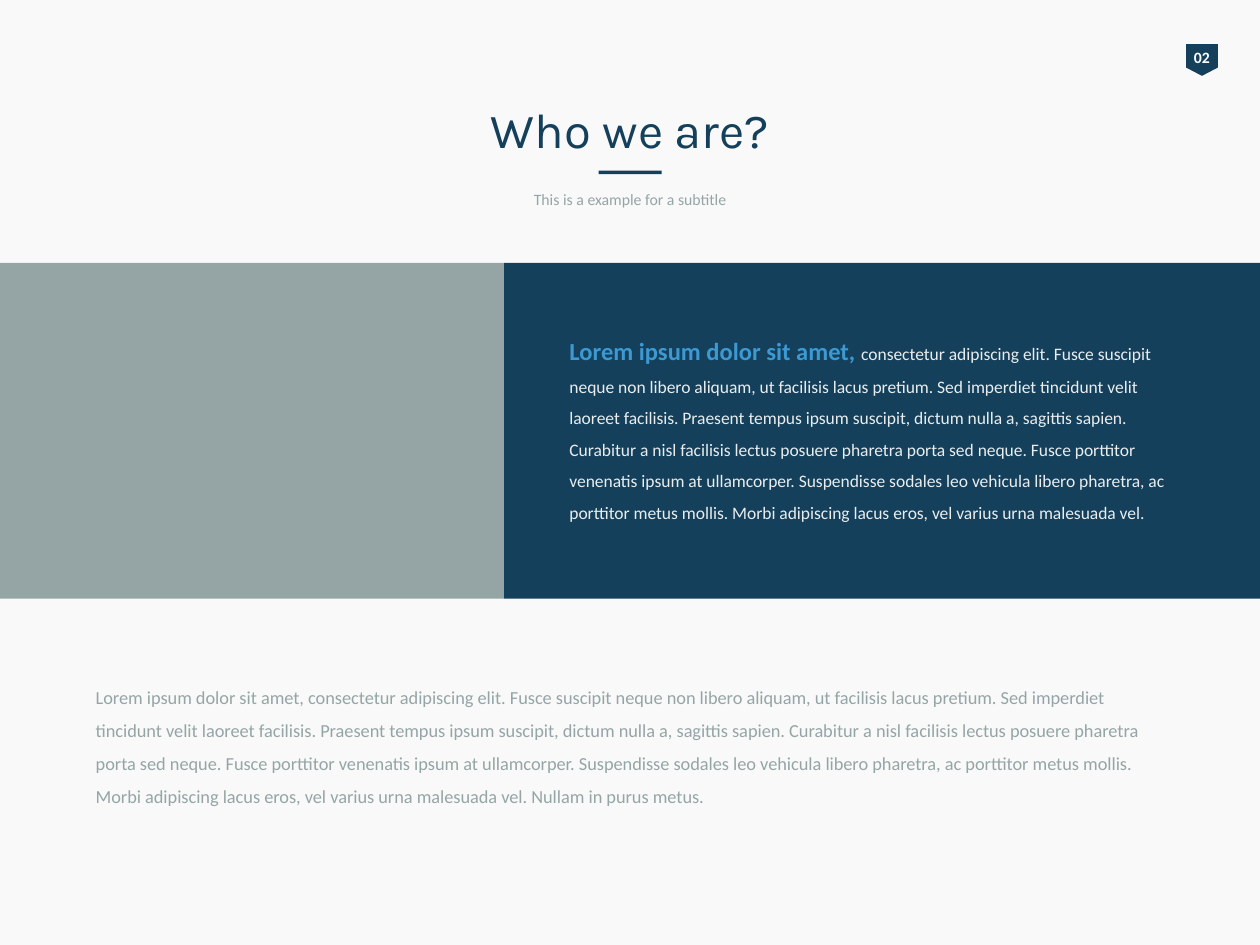
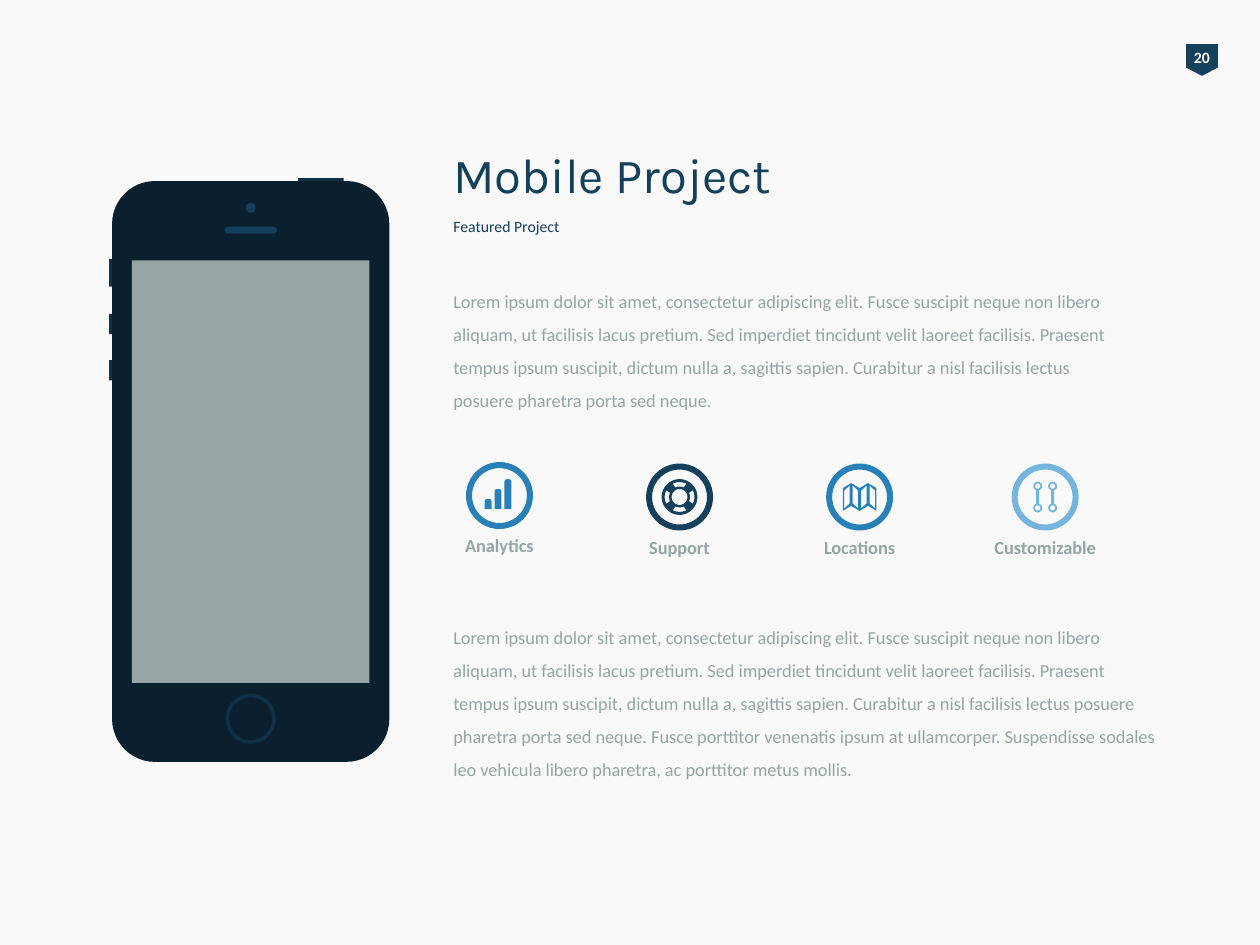
from dataclasses import dataclass
from math import cos, radians, sin

from pptx import Presentation
from pptx.dml.color import RGBColor
from pptx.enum.shapes import MSO_SHAPE as Shape
from pptx.enum.text import MSO_ANCHOR as Anchor, PP_ALIGN as Align
from pptx.util import Cm, Pt


@dataclass(frozen=True)
class Theme:
    paper: str = "F9F9F9"
    navy: str = "14405C"
    night: str = "0A202E"
    trim: str = "0F3045"
    blue: str = "2980B9"
    sky: str = "74B5DE"
    accent: str = "3D99D2"
    grey: str = "95A5A6"
    pale: str = "EAEDED"
    white: str = "FFFFFF"
    heading_font: str = "Karla"
    body_font: str = "Calibri"
    title_size: float = 28
    lead_size: float = 14
    body_size: float = 10.5
    panel_size: float = 10
    small_size: float = 9


THEME = Theme()

OPENING = "Lorem ipsum dolor sit amet, "
INTRO = (
    "consectetur adipiscing elit. Fusce suscipit neque non libero aliquam, "
    "ut facilisis lacus pretium. Sed imperdiet tincidunt velit laoreet facilisis. "
    "Praesent tempus ipsum suscipit, dictum nulla a, sagittis sapien. "
    "Curabitur a nisl facilisis lectus posuere pharetra porta sed neque."
)
MIDDLE = (
    " Fusce porttitor venenatis ipsum at ullamcorper. "
    "Suspendisse sodales leo vehicula libero pharetra, ac porttitor metus mollis."
)
CLOSING = " Morbi adipiscing lacus eros, vel varius urna malesuada vel."


def paint(shape, color):
    shape.shadow.inherit = False
    shape.fill.solid()
    shape.fill.fore_color.rgb = RGBColor.from_string(color)
    shape.line.fill.background()


def add_block(slide, box, color, kind=Shape.RECTANGLE, adjust=None):
    """Add a plain filled preset shape; box is left, top, width, height in cm."""
    block = slide.shapes.add_shape(kind, *map(Cm, box))
    paint(block, color)
    if adjust is not None:
        block.adjustments[0] = adjust
    return block


def add_round(slide, center, diameter, color, kind=Shape.OVAL, adjust=None):
    x, y = center
    box = (x - diameter / 2, y - diameter / 2, diameter, diameter)
    add_block(slide, box, color, kind, adjust)


def add_outline(slide, center, contours, color):
    """Draw closed contours around center; inner contours become holes."""
    x, y = center
    placed = [[(Cm(x + dx), Cm(y + dy)) for dx, dy in points] for points in contours]
    builder = slide.shapes.build_freeform(*placed[0][0], scale=1.0)
    for index, (start, *rest) in enumerate(placed):
        if index:
            builder.move_to(*start)
        builder.add_line_segments(rest, close=True)
    paint(builder.convert_to_shape(), color)


def add_text(slide, box, runs, font=THEME.body_font, align=Align.LEFT,
             anchor=Anchor.TOP, spacing=1.0, wrap=True):
    """Add one paragraph; each run is text, size, colour, bold."""
    frame = slide.shapes.add_textbox(*map(Cm, box)).text_frame
    frame.word_wrap = wrap
    frame.vertical_anchor = anchor
    paragraph = frame.paragraphs[0]
    paragraph.alignment = align
    paragraph.line_spacing = spacing
    for text, size, color, bold in runs:
        run = paragraph.add_run()
        run.text = text
        run.font.name = font
        run.font.size = Pt(size)
        run.font.bold = bold
        run.font.color.rgb = RGBColor.from_string(color)


def add_body(slide, box, text):
    add_text(slide, box, [(text, THEME.body_size, THEME.grey, False)], spacing=1.5)


def add_heading(slide, box, title, subtitle, subtitle_top, subtitle_color, align):
    left, top, width, height = box
    add_text(slide, box, [(title, THEME.title_size, THEME.navy, False)],
             THEME.heading_font, align, Anchor.MIDDLE)
    add_text(slide, (left, top + subtitle_top, width, 0.48),
             [(subtitle, THEME.small_size, subtitle_color, False)], align=align)


def add_page_badge(slide, number):
    left, top, side = 23.91, 0.89, 0.64
    flag = add_block(slide, (left, top, side, side), THEME.navy, Shape.PENTAGON, 0.26)
    flag.rotation = 90
    add_text(slide, (left - 0.1, top - 0.05, side + 0.2, 0.48),
             [(number, THEME.small_size, THEME.white, True)],
             align=Align.CENTER, wrap=False)


def new_slide(deck, number):
    slide = deck.slides.add_slide(deck.slide_layouts[6])
    slide.background.fill.solid()
    slide.background.fill.fore_color.rgb = RGBColor.from_string(THEME.paper)
    add_page_badge(slide, number)
    return slide


def add_intro_band(slide, box):
    left, top, width, height = box
    photo_width = 10.16
    add_block(slide, (left + photo_width, top, width - photo_width, height), THEME.navy)
    add_block(slide, (left, top, photo_width, height), THEME.grey)
    add_text(slide, (left + 11.23, top + 1.05, 12.5, 4.6),
             [(OPENING, THEME.lead_size, THEME.accent, True),
              (INTRO + MIDDLE + CLOSING, THEME.panel_size, THEME.pale, False)],
             spacing=1.5)


def add_phone(slide, box):
    left, top, width, height = box
    middle = left + width / 2
    trim_parts = [(3.75, -0.06, 0.92, 0.07), (-0.06, 1.57, 0.07, 0.56),
                  (-0.06, 2.68, 0.07, 0.41), (-0.06, 3.61, 0.07, 0.41)]
    for dx, dy, part_width, part_height in trim_parts:
        add_block(slide, (left + dx, top + dy, part_width, part_height), THEME.trim)
    add_block(slide, box, THEME.night, Shape.ROUNDED_RECTANGLE, 0.155)
    add_block(slide, (left + 0.4, top + 1.6, width - 0.8, 8.52), THEME.grey)
    add_round(slide, (middle, top + 0.54), 0.2, THEME.navy)
    add_block(slide, (middle - 0.53, top + 0.92, 1.06, 0.14), THEME.navy,
              Shape.ROUNDED_RECTANGLE, 0.5)
    add_round(slide, (middle, top + 10.84), 1.01, THEME.trim, Shape.DONUT, 0.07)


def draw_bars(slide, center, color):
    x, y = center
    for step in range(3):
        height = 0.2 * (step + 1)
        add_block(slide, (x - 0.3 + 0.2 * step, y + 0.27 - height, 0.14, height),
                  color, Shape.ROUND_2_SAME_RECTANGLE, 0.35)


def arc(radius, start, end, steps=24):
    angles = [radians(start + (end - start) * i / steps) for i in range(steps + 1)]
    return [(radius * cos(a), radius * sin(a)) for a in angles]


def draw_lifebuoy(slide, center, color):
    windows = [arc(0.3, turn - 27, turn + 27) + arc(0.21, turn + 24, turn - 24)
               for turn in range(0, 360, 90)]
    rims = [arc(radius, 0, 360, 72) for radius in (0.36, 0.16)]
    add_outline(slide, center, rims + windows, color)


def draw_map(slide, center, color):
    folds = [(-0.34 + 0.17 * i, 0.1 * (1 - i % 2)) for i in range(5)]
    outline = ([(x, shift - 0.28) for x, shift in folds]
               + [(x, shift + 0.18) for x, shift in reversed(folds)])
    panels = []
    for (x1, shift1), (x2, shift2) in zip(folds, folds[1:]):
        x1, x2 = x1 + 0.03, x2 - 0.03
        panels.append([(x1, shift1 - 0.23), (x2, shift2 - 0.23),
                       (x2, shift2 + 0.13), (x1, shift1 + 0.13)])
    add_outline(slide, center, [outline] + panels, color)


def draw_sliders(slide, center, color):
    x, y = center
    for dx in (-0.15, 0.15):
        add_block(slide, (x + dx - 0.03, y - 0.14, 0.06, 0.28), color)
        for dy in (-0.22, 0.22):
            add_round(slide, (x + dx, y + dy), 0.18, color, Shape.DONUT, 0.2)


def add_feature(slide, center, label, color, draw_icon):
    x, y = center
    add_round(slide, center, 1.35, color, Shape.DONUT, 0.09)
    draw_icon(slide, center, color)
    add_text(slide, (x - 1.6, y + 0.66, 3.2, 1.27),
             [(label, THEME.body_size, THEME.grey, True)], align=Align.CENTER)


def build_who_we_are(deck):
    slide = new_slide(deck, "02")
    add_heading(slide, (1.27, 2.06, 22.86, 1.09), "Who we are?",
                "This is a example for a subtitle", 1.65, THEME.grey, Align.CENTER)
    add_block(slide, (12.07, 3.44, 1.27, 0.07), THEME.navy)
    add_intro_band(slide, (0, 5.3, 25.4, 6.77))
    add_body(slide, (1.68, 13.49, 22.02, 3.02),
             OPENING + INTRO + MIDDLE + CLOSING + " Nullam in purus metus.")


def build_mobile_project(deck):
    slide = new_slide(deck, "20")
    add_phone(slide, (2.26, 3.65, 5.59, 11.71))
    add_heading(slide, (8.89, 2.79, 14.6, 1.45), "Mobile Project",
                "Featured Project", 1.45, THEME.navy, Align.LEFT)
    add_body(slide, (8.89, 5.51, 14.2, 2.29), OPENING + INTRO)
    features = [
        ((10.07, 9.99), "Analytics", THEME.blue, draw_bars),
        ((13.7, 10.02), "Support", THEME.navy, draw_lifebuoy),
        ((17.33, 10.02), "Locations", THEME.blue, draw_map),
        ((21.07, 10.02), "Customizable", THEME.sky, draw_sliders),
    ]
    for feature in features:
        add_feature(slide, *feature)
    add_body(slide, (8.89, 12.27, 14.83, 3.02), OPENING + INTRO + MIDDLE)


def main():
    deck = Presentation()
    deck.slide_width, deck.slide_height = Cm(25.4), Cm(19.05)
    build_who_we_are(deck)
    build_mobile_project(deck)
    deck.save("out.pptx")


if __name__ == "__main__":
    main()
